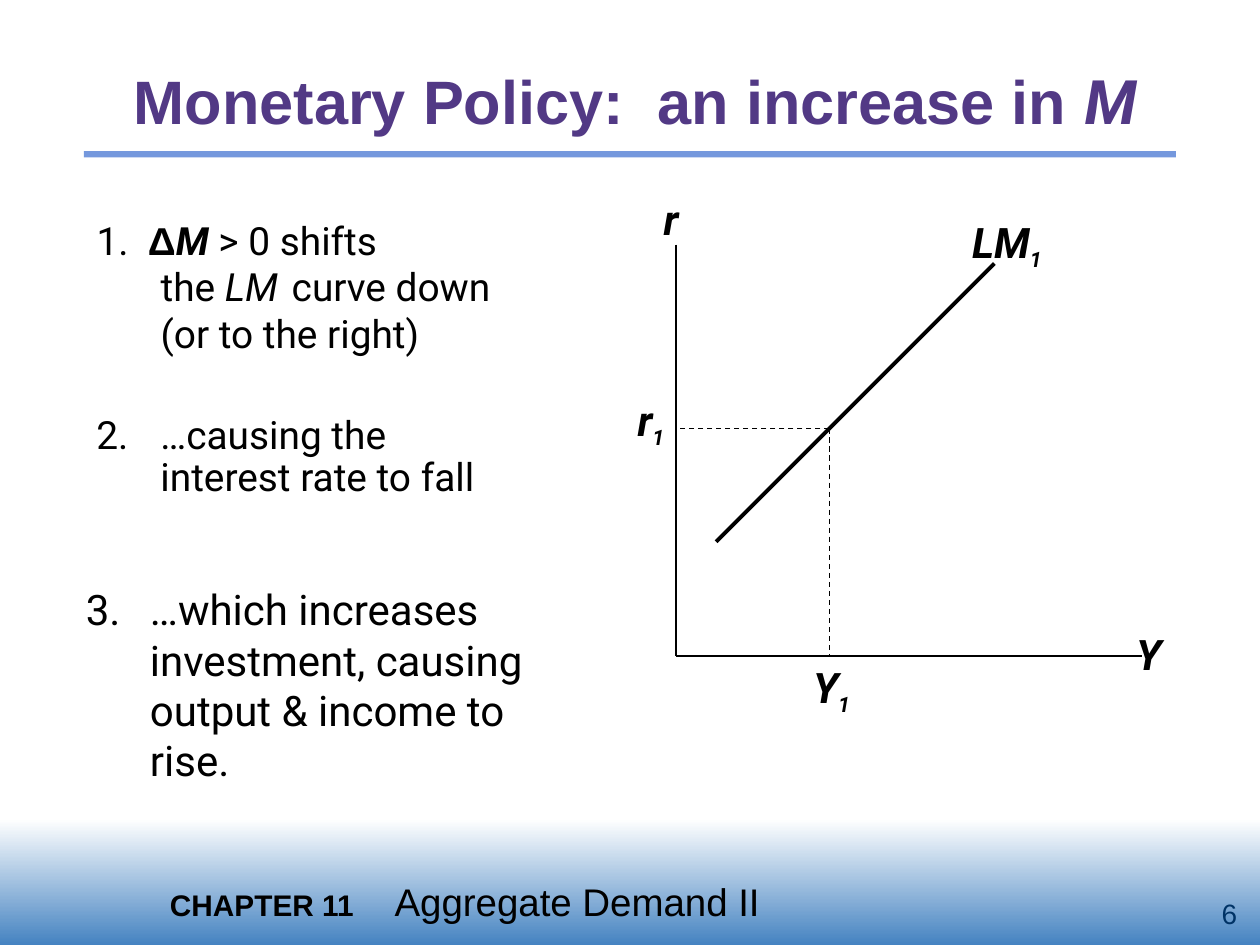
from collections import namedtuple

from lxml import etree
from pptx import Presentation
from pptx import util as u
from pptx.dml.color import RGBColor
from pptx.enum import dml, shapes, text
from pptx.oxml.ns import qn

PX = 7620  # EMU per px, 120 px to the inch
HANG = 61
COLORS = {"ink": "000000", "title": "523985", "rule": "7598DD",
          "band_top": "FFFFFF", "band_bottom": "4583C1", "number": "003366"}
Box = namedtuple("Box", "left top width height")


def px(value):
    return u.Emu(value * PX)


def rgb(name):
    return RGBColor.from_string(COLORS[name])


def inside(box, left, top, width, height):
    return Box(box.left + left, box.top + top, width, height)


def place(shape, box):
    shape.left, shape.top, shape.width, shape.height = map(px, box)


def write(shape, runs, align=text.PP_ALIGN.LEFT, anchor=text.MSO_ANCHOR.TOP):
    """Fill a shape with (text, size, style) runs; style letters: b, i, a (Arial), s (subscript)."""
    frame = shape.text_frame
    frame.word_wrap = True
    frame.auto_size = text.MSO_AUTO_SIZE.NONE
    frame.vertical_anchor = anchor
    paragraph = frame.paragraphs[0]
    paragraph.alignment = align
    paragraph.space_before = u.Pt(0)
    for words, size, style, color in runs:
        for index, line in enumerate(words.split("\n")):
            if index:
                paragraph.add_line_break()
            if not line:
                continue
            run = paragraph.add_run()
            run.text = line
            run.font.size = u.Pt(size)
            run.font.name = "Arial" if "a" in style else "Roboto"
            run.font.bold = "b" in style
            run.font.italic = "i" in style
            run.font.color.rgb = rgb(color)
            if "s" in style:
                run.font._element.set("baseline", "-25000")
    return paragraph


def add_text(slide, box, runs, **layout):
    return write(slide.shapes.add_textbox(*map(px, box)), runs, **layout)


def add_bar(slide, box):
    bar = slide.shapes.add_shape(shapes.MSO_SHAPE.RECTANGLE, *map(px, box))
    bar.shadow.inherit = False
    bar.line.fill.background()
    return bar


def add_line(slide, box, start, end, width, dashed=False):
    line = slide.shapes.add_connector(
        shapes.MSO_CONNECTOR.STRAIGHT,
        px(box.left + start[0]), px(box.top + start[1]),
        px(box.left + end[0]), px(box.top + end[1]))
    line.line.color.rgb = rgb("ink")
    line.line.width = u.Pt(width)
    if dashed:
        line.line.dash_style = dml.MSO_LINE.DASH
    etree.SubElement(line._element.spPr, qn("a:effectLst"))


def hang(paragraph):
    """Give a numbered step its hanging indent, without a bullet."""
    props = paragraph._p.get_or_add_pPr()
    props.set("marL", str(px(HANG)))
    props.set("indent", str(-px(HANG)))
    etree.SubElement(props, qn("a:buNone"))


def footer(slide, box):
    band = add_bar(slide, box)
    band.fill.gradient()
    band.fill.gradient_angle = 270
    for stop, name in zip(band.fill.gradient_stops, ("band_top", "band_bottom")):
        stop.color.rgb = rgb(name)
    chapter = add_text(slide, inside(box, 150, 50, 1000, 56),
                       [("CHAPTER 11", 17, "ab", "ink"),
                        ("\tAggregate Demand II", 22, "a", "ink")])
    tabs = etree.SubElement(chapter._p.get_or_add_pPr(), qn("a:tabLst"))
    etree.SubElement(tabs, qn("a:tab"), pos=str(px(214)), algn="l")
    add_text(slide, inside(box, 1040, 70, 150, 40), [("6", 16, "a", "number")],
             align=text.PP_ALIGN.RIGHT, anchor=text.MSO_ANCHOR.MIDDLE)


def heading(slide, box):
    title = slide.shapes.title
    place(title, box)
    write(title, [("Monetary Policy:  an increase in ", 35, "ab", "title"),
                  ("M", 35, "bi", "title")],
          align=text.PP_ALIGN.CENTER, anchor=text.MSO_ANCHOR.MIDDLE)
    add_bar_rule = add_bar(slide, inside(box, 20, 104, 1040, 6))
    add_bar_rule.fill.solid()
    add_bar_rule.fill.fore_color.rgb = rgb("rule")


def steps(slide, box):
    shift = slide.placeholders[1]
    place(shift, inside(box, 10, 0, 440, 160))
    hang(write(shift, [("1.  ", 22.2, "", "ink"), ("Δ", 22.2, "ab", "ink"),
                       ("M", 22.2, "bi", "ink"), (" > 0 shifts \nthe ", 22.2, "", "ink"),
                       ("LM ", 22.2, "i", "ink"), (" ", 9.2, "", "ink"),
                       ("curve down\n(or to the right)", 22.2, "", "ink")]))
    fall = add_text(slide, inside(box, 10, 190, 430, 130),
                    [("2.\t…causing the interest rate to fall", 22.2, "", "ink")])
    fall.line_spacing = 0.9
    hang(fall)
    hang(add_text(slide, inside(box, 0, 350, 440, 210),
                  [("3.\t…which increases investment, causing output & income to rise.",
                    24, "", "ink")]))


def lm_graph(slide, box):
    origin, equilibrium = (54, 447), (200, 230)
    add_line(slide, box, (origin[0], 55), origin, 1)
    add_line(slide, box, origin, (498, origin[1]), 1)
    add_line(slide, box, (92, 338), (357, 73), 2.25)
    for foot in ((origin[0], equilibrium[1]), (equilibrium[0], origin[1])):
        add_line(slide, box, equilibrium, foot, 0.75, dashed=True)

    center, left = text.PP_ALIGN.CENTER, text.PP_ALIGN.LEFT
    labels = [("Y", "", (466, 415, 76, 60), center),
              ("r", "", (22, 0, 54, 60), center),
              ("LM", "1", (324, 22, 106, 65), left),
              ("r", "1", (0, 192, 60, 65), center),
              ("Y", "1", (167, 446, 70, 65), center)]
    for symbol, subscript, spot, align in labels:
        add_text(slide, inside(box, *spot),
                 [(symbol, 24, "bi", "ink"), (subscript, 21, "bis", "ink")], align=align)


def main():
    deck = Presentation()
    deck.slide_width, deck.slide_height = px(1200), px(900)
    slide = deck.slides.add_slide(deck.slide_layouts[1])
    footer(slide, Box(0, 780, 1200, 120))
    heading(slide, Box(60, 40, 1090, 110))
    steps(slide, Box(70, 200, 450, 560))
    lm_graph(slide, Box(590, 178, 542, 511))
    deck.save("out.pptx")


if __name__ == "__main__":
    main()
